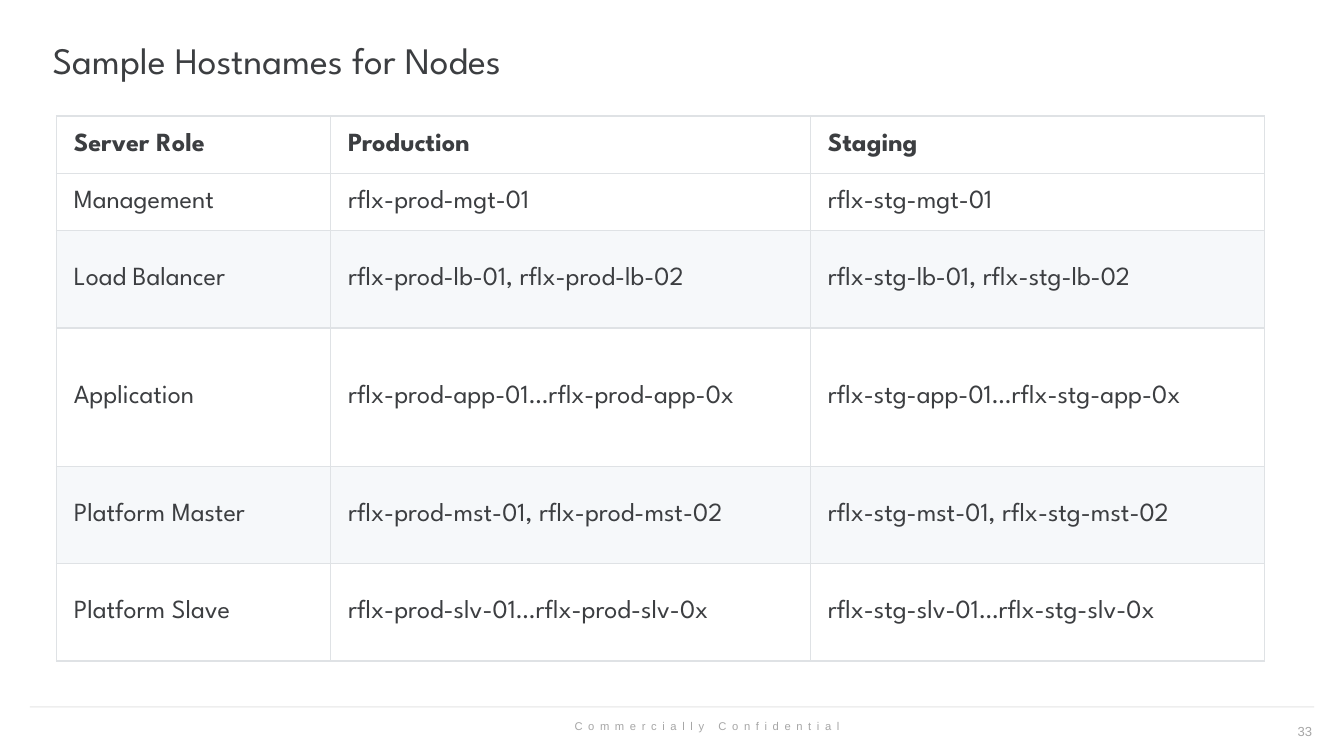
"""Builds the slide listing sample hostnames for each server role."""
from lxml.etree import SubElement
from pptx import Presentation
from pptx.dml.color import RGBColor
from pptx.enum.shapes import MSO_CONNECTOR, MSO_SHAPE
from pptx.enum.text import MSO_ANCHOR as Anchor, PP_ALIGN as Align
from pptx.oxml.ns import qn
from pptx.util import Pt

WHITE = RGBColor(0xFF, 0xFF, 0xFF)
BAND = RGBColor(0xF6, 0xF8, 0xFA)
BORDER = RGBColor(0xDF, 0xE2, 0xE5)
RULE = RGBColor(0xD9, 0xD9, 0xD9)
INK = RGBColor(0x3C, 0x3E, 0x41)
MUTED = RGBColor(0xA6, 0xA6, 0xA6)

HOSTNAMES = [
    ("Server Role", "Production", "Staging"),
    ("Management", "rflx-prod-mgt-01", "rflx-stg-mgt-01"),
    ("Load Balancer", "rflx-prod-lb-01, rflx-prod-lb-02", "rflx-stg-lb-01, rflx-stg-lb-02"),
    ("Application", "rflx-prod-app-01…rflx-prod-app-0x", "rflx-stg-app-01…rflx-stg-app-0x"),
    ("Platform Master", "rflx-prod-mst-01, rflx-prod-mst-02", "rflx-stg-mst-01, rflx-stg-mst-02"),
    ("Platform Slave", "rflx-prod-slv-01…rflx-prod-slv-0x", "rflx-stg-slv-01…rflx-stg-slv-0x"),
]
BANDED_ROWS = (2, 4)
COLUMN_WIDTHS = (147, 257, 243.4)
ROW_HEIGHTS = (30.7, 30.7, 52.2, 74, 52.2, 52.2)


def write(frame, text, *, size, color, font, bold=False, align=Align.LEFT,
          line_spacing=None, tracking=None):
    paragraph = frame.paragraphs[0]
    paragraph.alignment = align
    paragraph.line_spacing = line_spacing
    run = paragraph.add_run()
    run.text = text
    run.font.name = font
    run.font.size = Pt(size)
    run.font.bold = bold
    run.font.color.rgb = color
    if tracking:
        run._r.get_or_add_rPr().set("spc", str(tracking * 100))


def set_opacity(shape, percent):
    for color in shape._element.spPr.iter(qn("a:srgbClr")):
        SubElement(color, qn("a:alpha"), val=str(percent * 1000))


def set_borders(cell, color, width):
    properties = cell._tc.get_or_add_tcPr()
    for side in ("lnL", "lnR", "lnT", "lnB"):
        edge = SubElement(properties, qn(f"a:{side}"), w=str(Pt(width)))
        fill = SubElement(edge, qn("a:solidFill"))
        SubElement(fill, qn("a:srgbClr"), val=str(color))


class HostnameSlide:
    heading_font = "League Spartan"
    footer_font = "Arial"

    def __init__(self, deck):
        self.slide = deck.slides.add_slide(deck.slide_layouts[5])
        self.shapes = self.slide.shapes

    def page_number(self, text, box):
        frame = self.shapes.add_textbox(*map(Pt, box)).text_frame
        frame.word_wrap = True
        frame.vertical_anchor = Anchor.MIDDLE
        write(frame, text, size=7, color=MUTED, font=self.footer_font, align=Align.RIGHT)

    def footer(self, text, box):
        label = self.shapes.add_shape(MSO_SHAPE.RECTANGLE, *map(Pt, box))
        label.shadow.inherit = False
        label.fill.solid()
        label.fill.fore_color.rgb = WHITE
        set_opacity(label, 50)
        label.line.fill.background()
        label.text_frame.word_wrap = True
        label.text_frame.vertical_anchor = Anchor.TOP
        write(label.text_frame, text, size=6, color=MUTED, font=self.footer_font,
              align=Align.CENTER, tracking=3)

    def rule(self, left, right, top):
        rule = self.shapes.add_connector(MSO_CONNECTOR.STRAIGHT, Pt(left), Pt(top), Pt(right), Pt(top))
        rule.line.color.rgb = RULE
        rule.line.width = Pt(0.75)
        set_opacity(rule, 44)
        SubElement(rule._element.spPr, qn("a:effectLst"))

    def title(self, text, box):
        title = self.shapes.title
        title.left, title.top, title.width, title.height = map(Pt, box)
        title.text_frame.vertical_anchor = Anchor.MIDDLE
        write(title.text_frame, text, size=20, color=INK, font=self.heading_font, line_spacing=0.9)

    def table(self, rows, left, top):
        size = (sum(COLUMN_WIDTHS), sum(ROW_HEIGHTS))
        table = self.shapes.add_table(len(rows), len(rows[0]), Pt(left), Pt(top), *map(Pt, size)).table
        table.first_row = table.horz_banding = False
        for column, width in zip(table.columns, COLUMN_WIDTHS):
            column.width = Pt(width)
        for index, (row, height) in enumerate(zip(table.rows, ROW_HEIGHTS)):
            row.height = Pt(height)
            for cell, text in zip(row.cells, rows[index]):
                set_borders(cell, BORDER, 0.75)
                cell.fill.solid()
                cell.fill.fore_color.rgb = BAND if index in BANDED_ROWS else WHITE
                cell.margin_left = cell.margin_right = Pt(9.4)
                cell.margin_top = cell.margin_bottom = Pt(4.3)
                cell.vertical_anchor = Anchor.MIDDLE
                write(cell.text_frame, text, size=14, color=INK, font=self.heading_font,
                      bold=index == 0)


def main():
    deck = Presentation()
    deck.slide_width, deck.slide_height = Pt(720), Pt(405)
    page = HostnameSlide(deck)
    page.page_number("33", (648, 381, 62, 21.6))
    page.footer("Commercially Confidential", (292.3, 381.6, 172.8, 21.6))
    page.rule(16, 704, 378.7)
    page.title("Sample Hostnames for Nodes", (21, 5, 683, 57))
    page.table(HOSTNAMES, 30.2, 62.2)
    deck.save("out.pptx")


if __name__ == "__main__":
    main()
